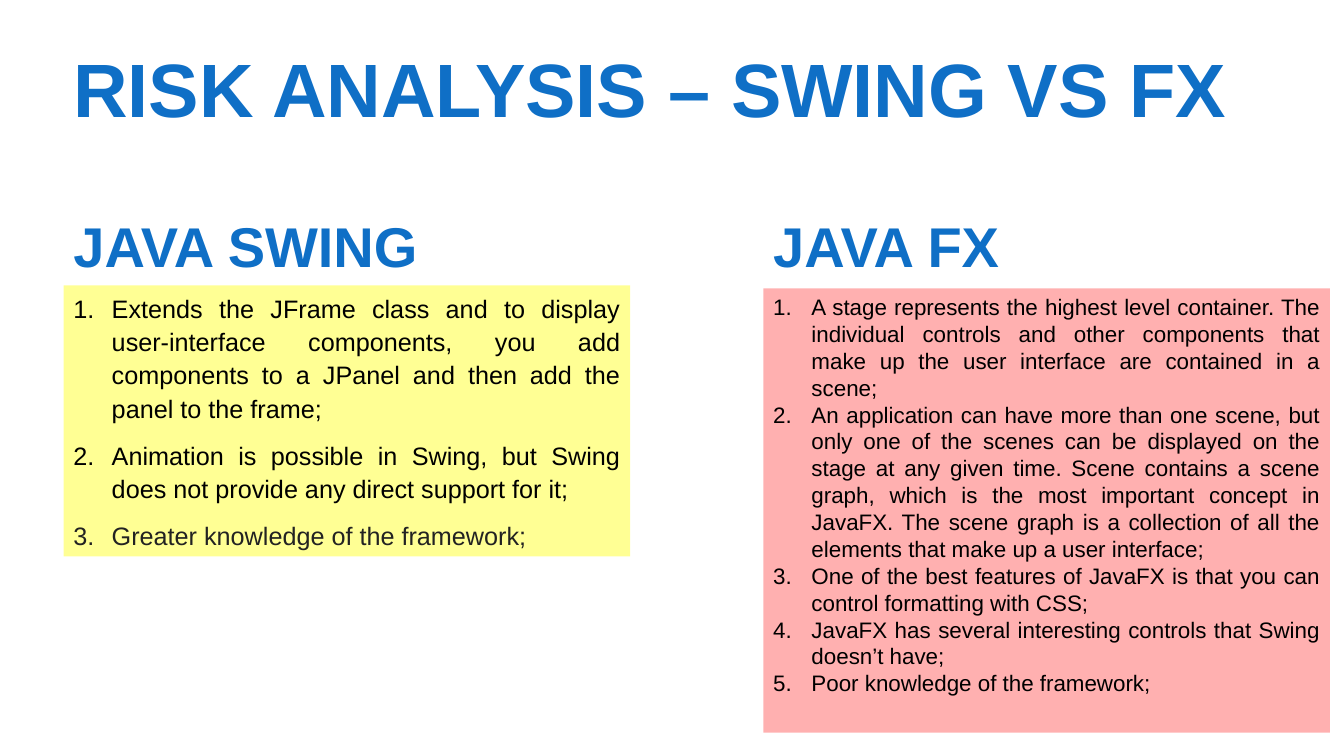
from pptx import Presentation
from pptx.dml.color import RGBColor
from pptx.enum import shapes, text
from pptx.oxml import ns
from pptx.util import Inches, Pt
from lxml import etree

BLUE = RGBColor(0x0F, 0x6F, 0xC6)
YELLOW = RGBColor(0xFF, 0xFF, 0x00)
RED = RGBColor(0xFF, 0x00, 0x00)
BLACK = RGBColor(0x00, 0x00, 0x00)
DARK = RGBColor(0x22, 0x22, 0x22)

LEFT, RIGHT = 0.63, 7.57
PANEL_WIDTH = 5.62
INDENT = Inches(0.38)

SWING = [
    ("Extends the JFrame class and to display user-interface components, "
     "you add components to a JPanel and then add the panel to the frame;", BLACK),
    ("Animation is possible in Swing, but Swing does not provide any direct "
     "support for it;", BLACK),
    ("Greater knowledge of the framework; ", DARK),
]
FX = [
    ("A stage represents the highest level container. The individual controls "
     "and other components that make up the user interface are contained in "
     "a scene;", BLACK),
    ("An application can have more than one scene, but only one of the scenes "
     "can be displayed on the stage at any given time. Scene contains a scene "
     "graph, which is the most important concept in JavaFX. The scene graph is "
     "a collection of all the elements that make up a user interface;", BLACK),
    ("One of the best features of JavaFX is that you can control formatting "
     "with CSS;", BLACK),
    ("JavaFX has several interesting controls that Swing doesn’t have;", BLACK),
    ("Poor knowledge of the framework; ", BLACK),
]


def set_attrs(obj, **values):
    for name, value in values.items():
        setattr(obj, name, value)


def add_run(p, words, size, color, bold=False):
    r = p.add_run()
    r.text = words
    set_attrs(r.font, name="Arial", size=Pt(size), bold=bold)
    r.font.color.rgb = color


def add_heading(slide, words, box, size, **frame):
    sp = slide.shapes.add_textbox(*map(Inches, box))
    tf = sp.text_frame
    set_attrs(tf, word_wrap=True, **frame)
    add_run(tf.paragraphs[0], words, size, BLUE, bold=True)
    return tf.paragraphs[0]


def number(p):
    pPr = p._p.get_or_add_pPr()
    pPr.set("marL", str(INDENT))
    pPr.set("indent", str(-INDENT))
    etree.SubElement(pPr, ns.qn("a:buFont"), typeface="+mj-lt")
    etree.SubElement(pPr, ns.qn("a:buAutoNum"), type="arabicPeriod")


def add_panel(slide, items, box, fill, opacity, size, **spacing):
    sp = slide.shapes.add_shape(shapes.MSO_SHAPE.RECTANGLE, *map(Inches, box))
    sp.shadow.inherit = False
    sp.line.fill.background()
    sp.fill.solid()
    sp.fill.fore_color.rgb = fill
    color = sp._element.spPr.find(".//" + ns.qn("a:srgbClr"))
    etree.SubElement(color, ns.qn("a:alpha"), val=str(opacity * 1000))
    tf = sp.text_frame
    set_attrs(tf, word_wrap=True, vertical_anchor=text.MSO_ANCHOR.TOP)
    for i, (words, ink) in enumerate(items):
        p = tf.add_paragraph() if i else tf.paragraphs[0]
        set_attrs(p, alignment=text.PP_ALIGN.JUSTIFY, **spacing)
        number(p)
        add_run(p, words, size, ink)


def main():
    prs = Presentation()
    set_attrs(prs, slide_width=Inches(13.33), slide_height=Inches(7.5))
    slide = prs.slides.add_slide(prs.slide_layouts[6])
    title = add_heading(slide, "RISK ANALYSIS – SWING VS FX",
                        (LEFT, 0.4, 12.34, 0.98), 54,
                        vertical_anchor=text.MSO_ANCHOR.BOTTOM)
    title.line_spacing = 0.9
    add_panel(slide, SWING, (LEFT, 2.83, PANEL_WIDTH, 2.69), YELLOW, 42, 18,
              line_spacing=1.1, space_before=Pt(10))
    add_panel(slide, FX, (RIGHT, 2.86, PANEL_WIDTH, 4.41), RED, 31, 16)
    for words, left in (("JAVA SWING", LEFT), ("JAVA FX", RIGHT)):
        add_heading(slide, words, (left, 2.05, 4.03, 0.77), 40,
                    auto_size=text.MSO_AUTO_SIZE.SHAPE_TO_FIT_TEXT)
    prs.save("out.pptx")


if __name__ == "__main__":
    main()
